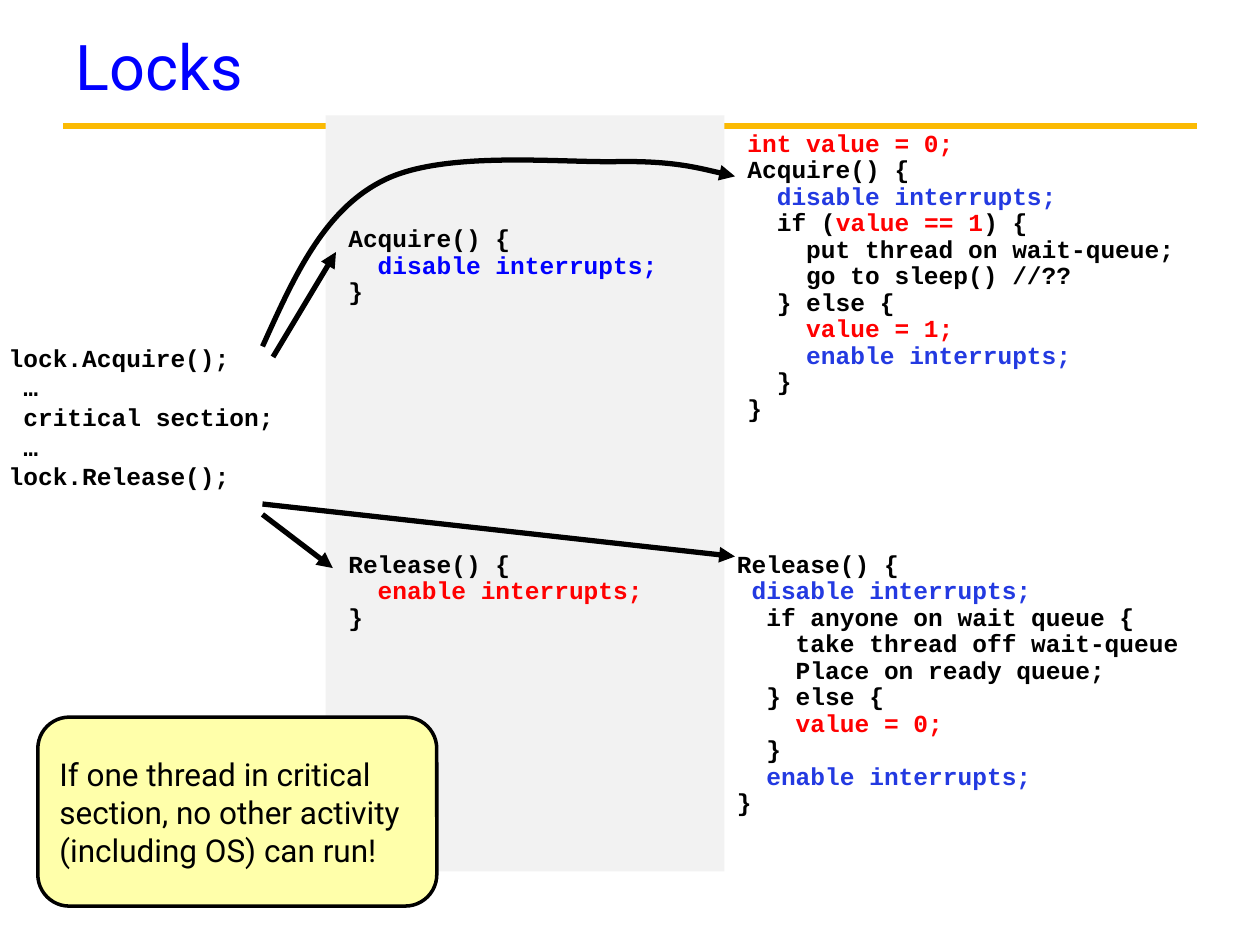
from lxml import etree
from pptx import Presentation
from pptx import util as u
from pptx.dml.color import RGBColor
from pptx.enum import shapes, text
from pptx.oxml import ns

COLOURS = {
    "title": "0000FF", "rule": "FBBA03", "panel": "F2F2F2", "ink": "000000",
    "red": "FF0000", "blue": "233AE1", "bright": "0000FF", "note": "FFFFAA",
}
CODE_FONT, TEXT_FONT = "Courier New", "Roboto"
CELL = u.Inches(10) / 120  # the slide is a grid of 120 columns by 90 rows


def grid(*cells):
    return [round(cell * CELL) for cell in cells]


def colour(name):
    return RGBColor.from_string(COLOURS[name])


def style_line(shape, name, width, arrow=False):
    shape.line.color.rgb = colour(name)
    shape.line.width = u.Pt(width)
    properties = shape._element.spPr
    if arrow:
        etree.SubElement(shape.line._get_or_add_ln(), ns.qn("a:tailEnd"), type="triangle")
    if properties.find(ns.qn("a:effectLst")) is None:
        etree.SubElement(properties, ns.qn("a:effectLst"))


def add_line(slide, start, end, name="ink", width=3, arrow=True):
    line = slide.shapes.add_connector(shapes.MSO_CONNECTOR.STRAIGHT, *grid(*start, *end))
    style_line(line, name, width, arrow)


def add_curve(slide, start, points):
    """Draw an arrow of cubic segments, three points to each segment."""
    builder = slide.shapes.build_freeform(*grid(*start))
    builder.add_line_segments([grid(*point) for point in points], close=False)
    curve = builder.convert_to_shape()
    curve.fill.background()
    style_line(curve, "ink", 3, arrow=True)
    path = curve._element.find(".//" + ns.qn("a:path"))
    steps = path.findall(ns.qn("a:lnTo"))
    for index in range(0, len(steps), 3):
        segment = etree.SubElement(path, ns.qn("a:cubicBezTo"))
        for step in steps[index:index + 3]:
            segment.append(step[0])
            path.remove(step)


def add_block(slide, box, kind, fill):
    block = slide.shapes.add_shape(kind, *grid(*box))
    block.shadow.inherit = False
    block.fill.solid()
    block.fill.fore_color.rgb = colour(fill)
    block.line.fill.background()
    return block


def add_title(slide, box, words):
    title = slide.shapes.title
    title.left, title.top, title.width, title.height = grid(*box)
    title.text_frame.text = words
    title.text_frame.vertical_anchor = text.MSO_ANCHOR.MIDDLE
    paragraph = title.text_frame.paragraphs[0]
    paragraph.alignment = text.PP_ALIGN.LEFT
    paragraph.font.name, paragraph.font.size = TEXT_FONT, u.Pt(36)
    paragraph.font.color.rgb = colour("title")


def add_code(slide, box, lines, spacing=0.9, gap=0):
    """Each line is a string, or a list of (words, colour name) parts."""
    frame = slide.shapes.add_textbox(*grid(*box)).text_frame
    frame.word_wrap = True
    for number, line in enumerate(lines):
        paragraph = frame.add_paragraph() if number else frame.paragraphs[0]
        paragraph.line_spacing = spacing
        paragraph.space_before = u.Pt(gap if number else 0)
        paragraph.font.name, paragraph.font.size = CODE_FONT, u.Pt(14)
        paragraph.font.bold = True
        for words, name in [(line, "ink")] if isinstance(line, str) else line:
            run = paragraph.add_run()
            run.text = words
            run.font.color.rgb = colour(name)


def add_note(slide, box, words):
    note = add_block(slide, box, shapes.MSO_SHAPE.ROUNDED_RECTANGLE, "note")
    style_line(note, "ink", 2)
    frame = note.text_frame
    frame.word_wrap = True
    frame.vertical_anchor = text.MSO_ANCHOR.MIDDLE
    frame.text = words
    paragraph = frame.paragraphs[0]
    paragraph.alignment = text.PP_ALIGN.LEFT
    paragraph.font.name, paragraph.font.size = TEXT_FONT, u.Pt(18)
    paragraph.font.color.rgb = colour("ink")


def main():
    presentation = Presentation()
    presentation.slide_width, presentation.slide_height = grid(120, 90)
    slide = presentation.slides.add_slide(presentation.slide_layouts[5])

    # Title, rule and middle panel
    add_title(slide, (6, 0.5, 108, 11.5), "Locks")
    add_line(slide, (6, 12), (114, 12), "rule", 3.75, arrow=False)
    add_block(slide, (31, 11, 38, 72), shapes.MSO_SHAPE.RECTANGLE, "panel")

    # Lock with a wait queue
    add_code(slide, (70, 11.9, 50, 29.3), [
        [("int value = 0;", "red")],
        "Acquire() {",
        [("  disable interrupts;", "blue")],
        [("  if (", "ink"), ("value == 1", "red"), (") {", "ink")],
        "    put thread on wait-queue;",
        "    go to sleep() //??",
        "  } else {",
        [("    value = 1;", "red")],
        [("    enable interrupts;", "blue")],
        "  }",
        "}",
    ])
    add_code(slide, (69, 52, 52, 26.8), [
        "Release() {",
        [(" disable interrupts;", "blue")],
        "  if anyone on wait queue {",
        "    take thread off wait-queue",
        "    Place on ready queue;",
        "  } else {",
        [("    value = 0;", "red")],
        "  }",
        [("  enable interrupts;", "blue")],
        "}",
    ])

    # Calling code
    add_code(slide, (-0.35, 32.6, 34.3, 21.4), [
        "lock.Acquire();", " …", " critical section;", " …", "lock.Release();",
    ], spacing=0.8, gap=3.5)

    # Lock that only switches interrupts
    add_code(slide, (32, 21, 41, 8.9),
             ["Acquire() {", [("  disable interrupts;", "bright")], "}"])
    add_code(slide, (32, 52, 36, 8.9),
             ["Release() {", [("  enable interrupts;", "red")], "}"])

    # Arrows from the calls to both versions
    add_line(slide, (25, 49), (31.7, 54.1))
    add_line(slide, (25, 48), (70, 53))
    add_line(slide, (26, 34), (32, 24))
    add_curve(slide, (25, 33), [
        (27.9, 26.6), (30.7, 20.2), (36.3, 17.3),
        (41.9, 14.3), (53, 15.5), (58.7, 15.4),
        (64.3, 15.3), (70, 16.8), (70, 16.8),
    ])

    add_note(slide, (3.6, 68.3, 38, 18),
             "If one thread in critical section, no other activity (including OS) can run!")
    presentation.save("out.pptx")


if __name__ == "__main__":
    main()
